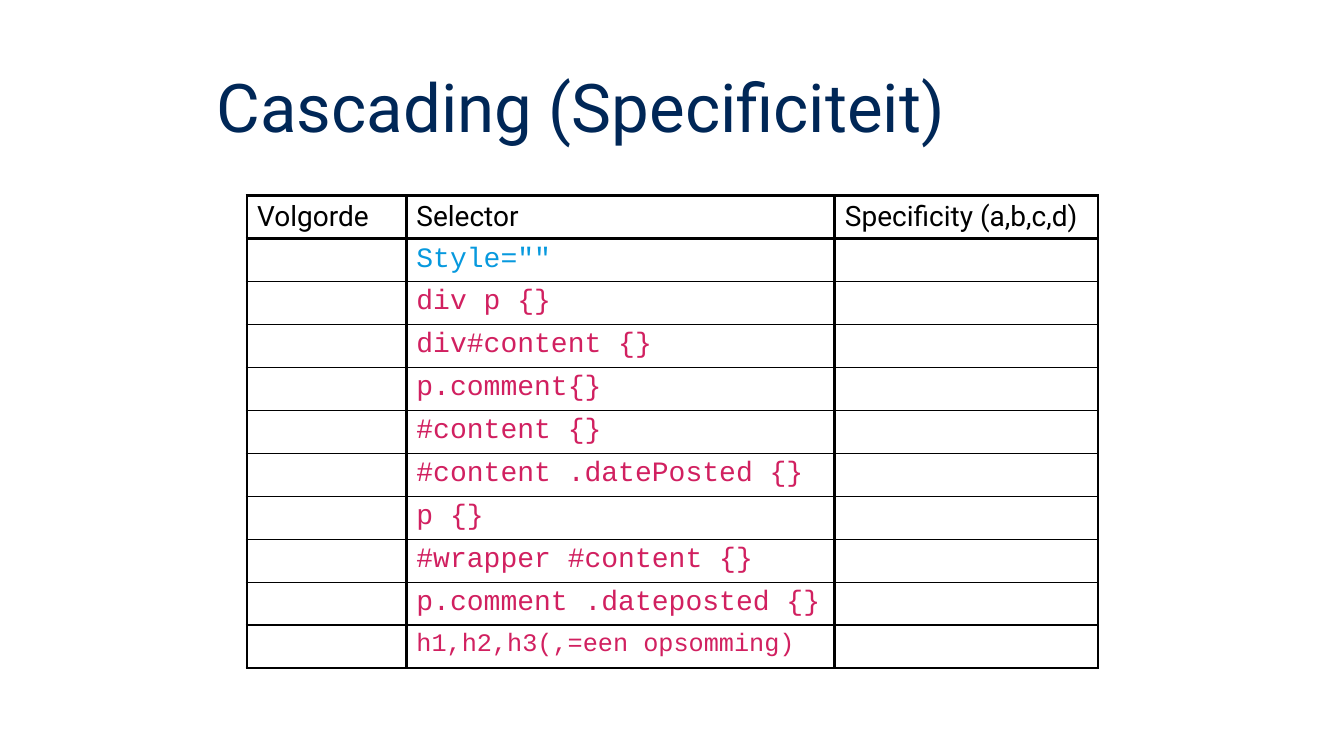
from lxml import etree
from pptx import Presentation
from pptx import util as u
from pptx.dml.color import RGBColor
from pptx.enum import text
from pptx.oxml import ns

NAVY = RGBColor(0x00, 0x27, 0x57)
BLACK = RGBColor(0x00, 0x00, 0x00)
BLUE = RGBColor(0x07, 0x99, 0xDE)
PINK = RGBColor(0xD1, 0x20, 0x60)

SANS = "Roboto"
MONO = "Courier New"
THICK = 2.25
THIN = 1

COLUMN_WIDTHS = [1.58, 4.25, 2.61]
ROW_HEIGHT = 4.69 / 11
HEADERS = ["Volgorde", "Selector", "Specificity (a,b,c,d)"]
SELECTORS = [
    'Style=""',
    "div p {}",
    "div#content {}",
    "p.comment{}",
    "#content {}",
    "#content .datePosted {}",
    "p {}",
    "#wrapper #content {}",
    "p.comment .dateposted {}",
    "h1,h2,h3(,=een opsomming)",
]


def format_font(font, name, size, color):
    font.name = name
    font.size = u.Pt(size)
    font.color.rgb = color


def set_title(slide, wording):
    title = slide.shapes.title
    title.left, title.top = u.Inches(2.05), u.Inches(0.4)
    title.width, title.height = u.Inches(10.88), u.Inches(1.4)
    frame = title.text_frame
    frame.text = wording
    frame.vertical_anchor = text.MSO_ANCHOR.MIDDLE
    paragraph = frame.paragraphs[0]
    paragraph.alignment = text.PP_ALIGN.LEFT
    paragraph.line_spacing = 0.9
    format_font(paragraph.runs[0].font, SANS, 48, NAVY)


def set_borders(cell, top, bottom):
    properties = cell._tc.get_or_add_tcPr()
    widths = {"a:lnL": THICK, "a:lnR": THICK, "a:lnT": top, "a:lnB": bottom}
    for tag, width in widths.items():
        line = etree.SubElement(properties, ns.qn(tag), w=str(u.Pt(width)))
        fill = etree.SubElement(line, ns.qn("a:solidFill"))
        etree.SubElement(fill, ns.qn("a:srgbClr"), val=str(BLACK))


def fill_cell(cell, wording, font_name, size, color):
    cell.text_frame.text = wording
    paragraph = cell.text_frame.paragraphs[0]
    paragraph.alignment = text.PP_ALIGN.LEFT
    format_font(paragraph.font, font_name, size, color)
    for run in paragraph.runs:
        format_font(run.font, font_name, size, color)


def add_selector_table(slide):
    row_count = len(SELECTORS) + 1
    frame = slide.shapes.add_table(
        row_count, len(HEADERS), u.Inches(2.45), u.Inches(1.94),
        u.Inches(sum(COLUMN_WIDTHS)), u.Inches(ROW_HEIGHT * row_count))
    table = frame.table
    table.first_row = False
    table.horz_banding = False
    for column, width in zip(table.columns, COLUMN_WIDTHS):
        column.width = u.Inches(width)

    for column, header in enumerate(HEADERS):
        fill_cell(table.cell(0, column), header, SANS, 20, BLACK)
    for row, selector in enumerate(SELECTORS, start=1):
        color = BLUE if row == 1 else PINK
        size = 18 if row == len(SELECTORS) else 20
        fill_cell(table.cell(row, 1), selector, MONO, size, color)

    for row in range(row_count):
        top = THICK if row < 2 else THIN
        bottom = THICK if row == 0 else THIN
        for column in range(len(HEADERS)):
            cell = table.cell(row, column)
            set_borders(cell, top, bottom)
            cell.fill.background()


def main():
    presentation = Presentation()
    presentation.slide_width = u.Inches(13.33)
    presentation.slide_height = u.Inches(7.5)
    slide = presentation.slides.add_slide(presentation.slide_layouts[5])
    set_title(slide, "Cascading (Specificiteit)")
    add_selector_table(slide)
    presentation.save("out.pptx")


if __name__ == "__main__":
    main()
